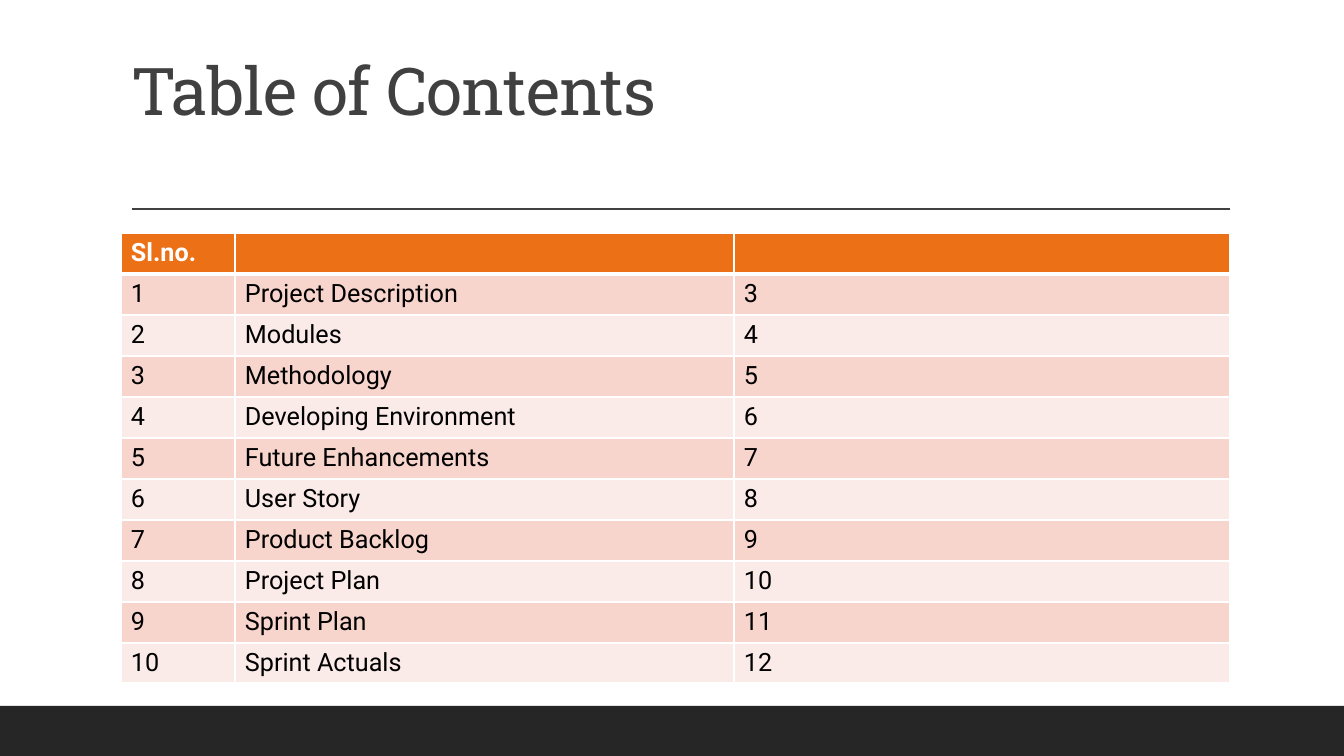
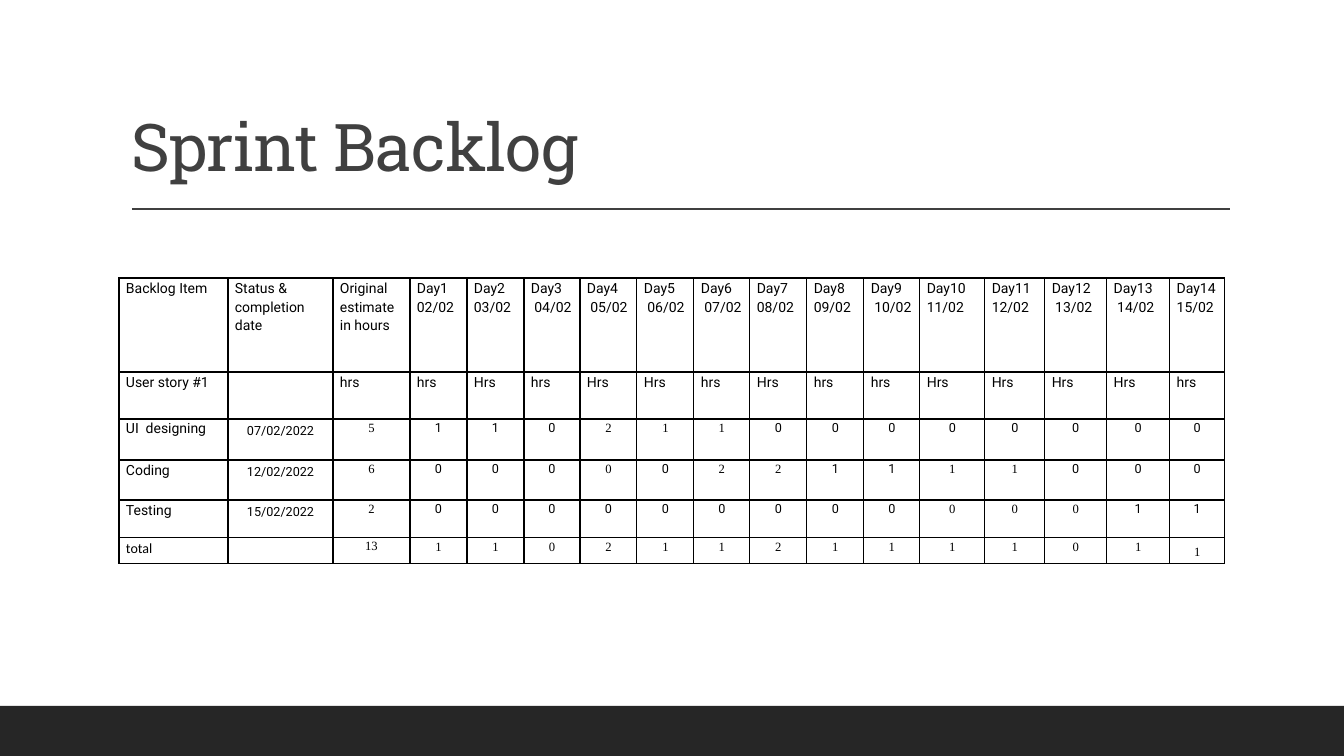
from lxml import etree
from pptx import Presentation
from pptx import util as u
from pptx.dml.color import RGBColor
from pptx.enum import shapes, text
from pptx.oxml.ns import qn

WHITE = RGBColor(0xFF, 0xFF, 0xFF)
BLACK = RGBColor(0x00, 0x00, 0x00)
CHARCOAL = RGBColor(0x26, 0x26, 0x26)
GREY = RGBColor(0x40, 0x40, 0x40)
ORANGE = RGBColor(0xEC, 0x70, 0x16)
STRIPES = [RGBColor(0xF8, 0xD5, 0xCC), RGBColor(0xFB, 0xEB, 0xE8)]

BODY_FONT = "Roboto"
SERIF_FONT = "Times New Roman"
FONTS = {"R": BODY_FONT, "T": SERIF_FONT}
CENTER = text.PP_ALIGN.CENTER
TITLE_FONT = {"name": "Roboto Slab", "size": u.Pt(47), "bold": False}
TITLE_PARA = {"alignment": text.PP_ALIGN.LEFT, "line_spacing": 0.9}
LABEL = {"name": BODY_FONT, "size": u.Pt(10)}
SMALL = {"name": BODY_FONT, "size": u.Pt(9)}
SPACED = {"line_spacing": 1.15}
SPACED_CENTER = {"line_spacing": 1.15, "alignment": CENTER}
AFTER_8 = {"line_spacing": 1.07, "space_after": u.Pt(8)}

TOPICS = [
    "Project Description", "Modules", "Methodology", "Developing Environment",
    "Future Enhancements", "User Story", "Product Backlog", "Project Plan",
    "Sprint Plan", "Sprint Actuals",
]
FIRST_TOPIC_PAGE = 3

BACKLOG_HEADS = [
    "Backlog Item", "Status & completion date", "Original estimate in hours",
    "Day1\n02/02", "Day2\n03/02", "Day3\n 04/02", "Day4\n 05/02",
    "Day5\n 06/02", "Day6\n 07/02", "Day7\n08/02", "Day8\n09/02",
    "Day9\n 10/02", "Day10\n11/02", "Day11\n12/02", "Day12\n 13/02",
    "Day13\n 14/02", "Day14\n15/02",
]
STORY_UNITS = ["User story #1", ""] + (
    "hrs hrs Hrs hrs Hrs Hrs hrs Hrs hrs hrs Hrs Hrs Hrs Hrs hrs".split())
TASKS = [
    ("UI  designing", "07/02/2022", "5 1 1 0 2 1 1 0 0 0 0 0 0 0 0", "TRRRTTTRRRRRRRR"),
    ("Coding", "12/02/2022", "6 0 0 0 0 0 2 2 1 1 1 1 0 0 0", "TRRRTRTTRRTTRRR"),
    ("Testing", "15/02/2022", "2 0 0 0 0 0 0 0 0 0 0 0 0 1 1", "TRRRRRRRRRTTTRR"),
    ("total", "", "13 1 1 0 2 1 1 2 1 1 1 1 0 1 1", "T" * 15),
]


def px(count):
    return u.Emu(round(count * 914400 / 100.8))


def set_all(target, values):
    for name, value in values.items():
        setattr(target, name, value)


def add_band(page):
    band = page.shapes.add_shape(
        shapes.MSO_SHAPE.RECTANGLE, px(0), px(706), px(1344), px(50))
    band.shadow.inherit = False
    band.fill.solid()
    band.fill.fore_color.rgb = CHARCOAL
    band.line.fill.background()


def add_rule(page):
    rule = page.shapes.add_connector(
        shapes.MSO_CONNECTOR.STRAIGHT, px(132), px(209), px(1230), px(209))
    rule.line.color.rgb = GREY
    rule.line.width = u.Pt(1)
    etree.SubElement(rule._element.spPr, qn("a:effectLst"))


def add_page(deck, heading, title_height):
    page = deck.slides.add_slide(deck.slide_layouts[5])
    add_band(page)
    add_rule(page)
    title = page.shapes.title
    set_all(title, {"left": px(121), "top": px(31),
                    "width": px(1109), "height": px(title_height)})
    set_all(title.text_frame, {"vertical_anchor": text.MSO_ANCHOR.BOTTOM,
                               "word_wrap": True,
                               "auto_size": text.MSO_AUTO_SIZE.NONE})
    para = title.text_frame.paragraphs[0]
    set_all(para, TITLE_PARA)
    span = para.add_run()
    span.text = heading
    set_all(span.font, TITLE_FONT)
    span.font.color.rgb = GREY
    span.font._element.set("spc", "-50")
    return page


def add_grid(page, left, top, widths, heights):
    frame = page.shapes.add_table(
        len(heights), len(widths), px(left), px(top),
        px(sum(widths)), px(sum(heights)))
    grid = frame.table
    set_all(grid, {"first_row": False, "horz_banding": False})
    for column, width in zip(grid.columns, widths):
        column.width = px(width)
    for row, height in zip(grid.rows, heights):
        row.height = px(height)
    return grid


def write_cell(cell, words, font, para_format=None, insets=(10, 5), color=BLACK):
    side, end = (px(inset) for inset in insets)
    set_all(cell, {"margin_left": side, "margin_right": side,
                   "margin_top": end, "margin_bottom": end})
    frame = cell.text_frame
    for index, line in enumerate(words.split("\n")):
        para = frame.add_paragraph() if index else frame.paragraphs[0]
        set_all(para, para_format or {})
        if line:
            span = para.add_run()
            span.text = line
            set_all(span.font, font)
            span.font.color.rgb = color
        else:
            size = str(int(font["size"].pt * 100))
            etree.SubElement(para._p, qn("a:endParaRPr"), sz=size)


def paint_cell(cell, border, fill=None, top=1, bottom=1):
    props = cell._tc.get_or_add_tcPr()
    for side, points in (("L", 1), ("R", 1), ("T", top), ("B", bottom)):
        edge = etree.SubElement(props, qn("a:ln" + side), w=str(u.Pt(points)))
        paint = etree.SubElement(edge, qn("a:solidFill"))
        etree.SubElement(paint, qn("a:srgbClr"), val=str(border))
    if fill is None:
        cell.fill.background()
    else:
        cell.fill.solid()
        cell.fill.fore_color.rgb = fill


def build_contents(deck):
    page = add_page(deck, "Table of Contents", 104)
    grid = add_grid(page, 121, 233, [114, 499, 496], [41] * 10 + [40])
    rows = [("Sl.no.", "", "")]
    rows += [(str(number), topic, str(number + FIRST_TOPIC_PAGE - 1))
             for number, topic in enumerate(TOPICS, 1)]
    for row, entries in enumerate(rows):
        head = row == 0
        font = {"name": BODY_FONT, "size": u.Pt(18), "bold": head}
        fill = ORANGE if head else STRIPES[(row - 1) % 2]
        for column, words in enumerate(entries):
            cell = grid.cell(row, column)
            write_cell(cell, words, font, color=WHITE if head else BLACK)
            paint_cell(cell, WHITE, fill, top=3 if row == 1 else 1,
                       bottom=3 if head else 1)


def write_task(grid, row, task):
    name, date, hours, fonts = task
    is_total = name == "total"
    label = {**LABEL, "name": "Calibri"} if is_total else LABEL
    write_cell(grid.cell(row, 0), name, label,
               AFTER_8 if row == 2 else SPACED, (7, 0))
    write_cell(grid.cell(row, 1), date, SMALL, {"alignment": CENTER},
               (7, 0) if is_total else (10, 5))
    for column, (value, key) in enumerate(zip(hours.split(), fonts), 2):
        para_format = SPACED_CENTER
        if is_total and column == 2:
            para_format = {**AFTER_8, "alignment": CENTER}
        write_cell(grid.cell(row, column), value,
                   {**SMALL, "name": FONTS[key]}, para_format, (6, 0))


def build_backlog(deck):
    page = add_page(deck, "Sprint Backlog", 160)
    widths = [109, 105, 77] + [57, 57, 56] * 3 + [65, 60, 62, 63, 55]
    grid = add_grid(page, 119, 278, widths, [94, 47, 41, 40, 38, 26])
    for row, entries in enumerate([BACKLOG_HEADS, STORY_UNITS]):
        for column, words in enumerate(entries):
            write_cell(grid.cell(row, column), words, LABEL, SPACED, (7, 0))
    for row, task in enumerate(TASKS, 2):
        write_task(grid, row, task)
    last = grid.cell(5, len(widths) - 1)
    set_all(last, {"vertical_anchor": text.MSO_ANCHOR.MIDDLE,
                   "margin_left": 0, "margin_right": 0})
    last.text_frame.paragraphs[0].space_after = u.Pt(10)
    for cell in grid.iter_cells():
        paint_cell(cell, BLACK)


def main():
    deck = Presentation()
    set_all(deck, {"slide_width": px(1344), "slide_height": px(756)})
    build_contents(deck)
    build_backlog(deck)
    deck.save("out.pptx")


if __name__ == "__main__":
    main()
